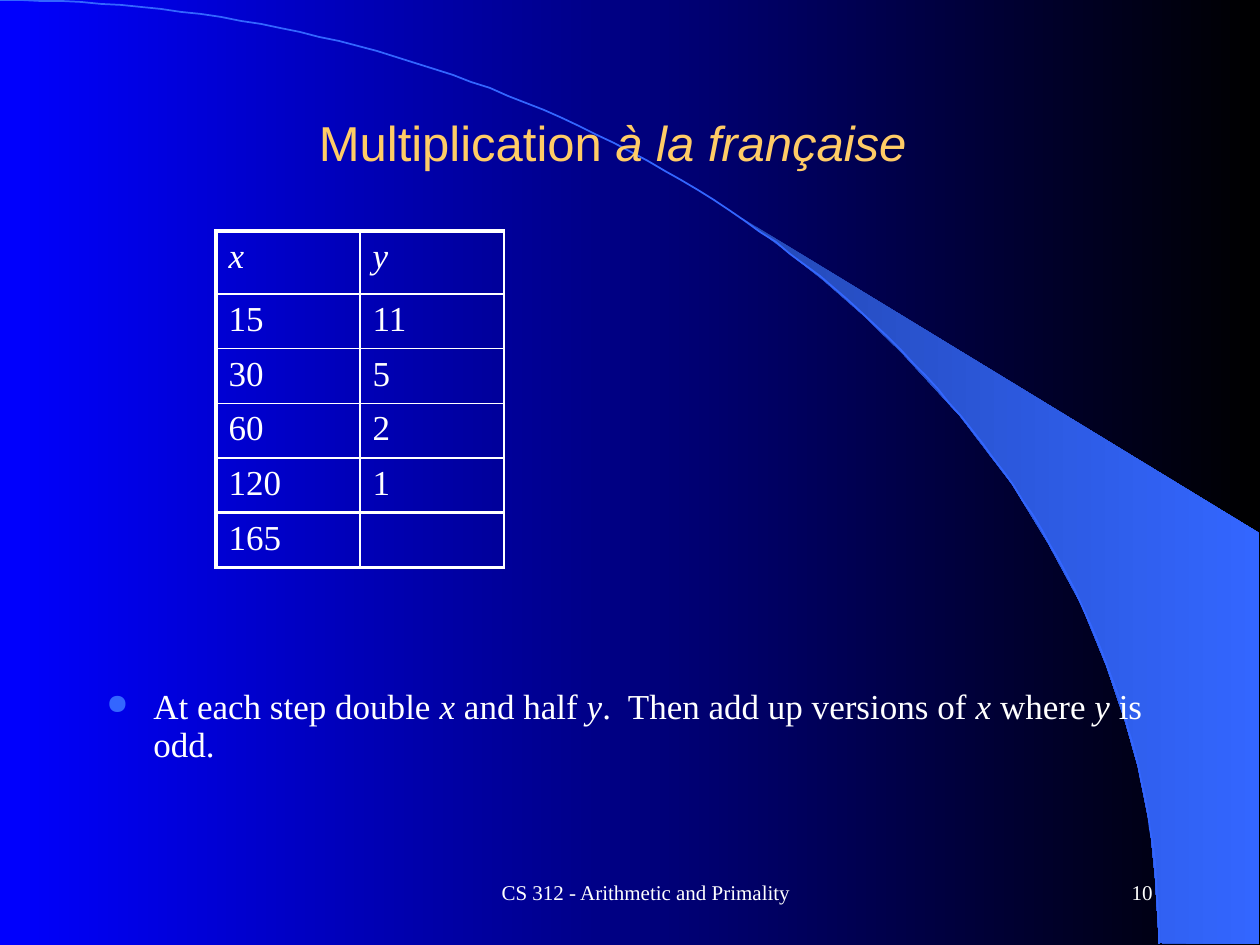
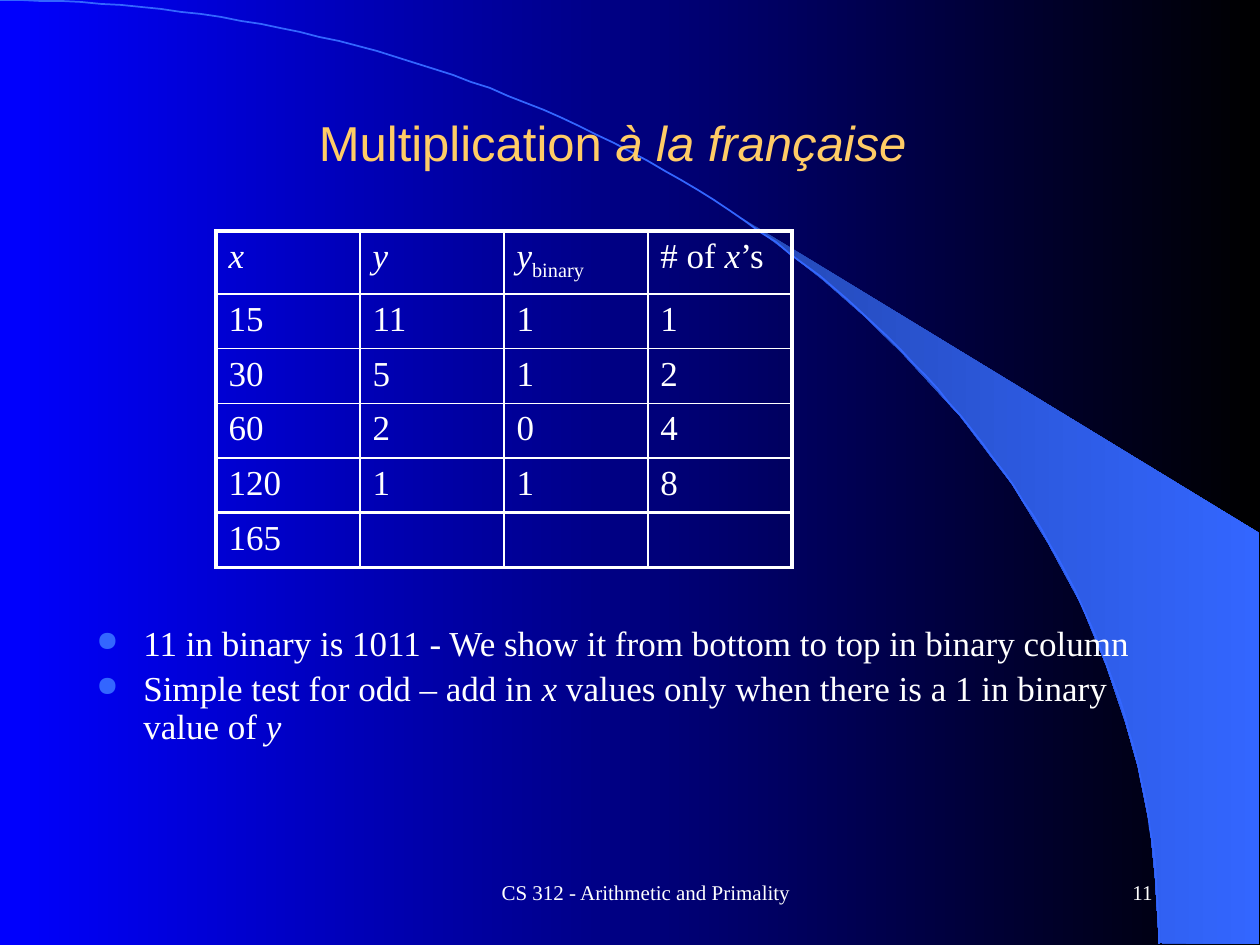
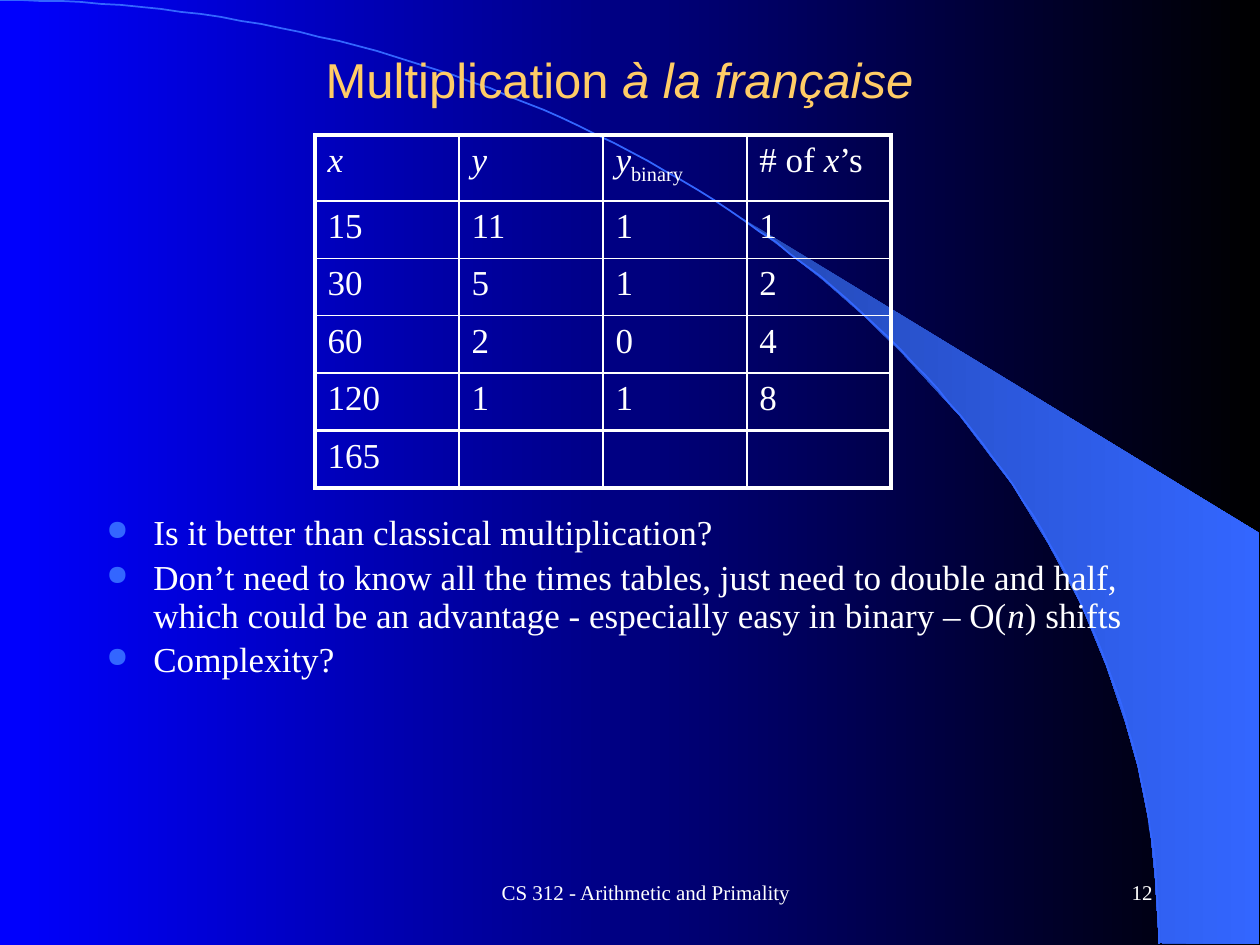
"""Build three slides on multiplication à la française."""
from math import cos, pi, sin

from lxml.etree import SubElement
from pptx import Presentation
from pptx.dml.color import RGBColor
from pptx.enum.text import MSO_ANCHOR, PP_ALIGN
from pptx.oxml.ns import qn
from pptx.util import Emu, Pt

COLORS = {
    "bg_left": "0000FF", "bg_right": "000000", "beam_left": "2449B6",
    "accent": "3366FF", "title": "FFCC66", "text": "FFFFFF",
}
SERIF, SANS = "Times New Roman", "Arial"
FOOTER = "CS 312 - Arithmetic and Primality"
HEADER = ["*x*", "*y*", "*y*_binary_", "# of *x*’s"]
ROWS = [
    ["15", "11", "1", "1"],
    ["30", "5", "1", "2"],
    ["60", "2", "0", "4"],
    ["120", "1", "1", "8"],
    ["165", "", "", ""],
]
SLIDES = [
    {
        "number": "10",
        "title": ("Multiplication *à la française *", 84),
        "table": {"at": (216, 231), "cols": 2, "header": 63, "height": 336, "right": 1},
        "body": (94, 683, 1071, 158),
        "bullets": [
            "At each step double *x* and half *y*.  Then add up versions of "
            "*x *where *y* is odd.",
        ],
    },
    {
        "number": "11",
        "title": ("Multiplication *à la française *", 84),
        "table": {"at": (216, 231), "cols": 4, "header": 63, "height": 336, "right": 2.25},
        "body": (84, 620, 1071, 158),
        "bullets": [
            "11 in binary is 1011 - We show it from bottom to top in binary column",
            "Simple test for odd – add in *x* values only when there is a 1 in "
            "binary value of *y*",
        ],
    },
    {
        "number": "12",
        "title": ("Multiplication *à la française*", 21),
        "table": {"at": (315, 135), "cols": 4, "header": 66, "height": 353, "right": 2.25},
        "body": (94, 509, 1113, 353),
        "bullets": [
            "Is it better than classical multiplication?",
            "Don’t need to know all the times tables, just need to double and half, "
            "which could be an advantage - especially easy in binary – O(*n*) shifts",
            "Complexity?",
        ],
    },
]
BEAM = [
    (1159, 943), (1259, 944), (1259, 533), (742, 218), (786, 251), (823, 280),
    (863, 315), (902, 353), (960, 416), (1012, 484), (1048, 543), (1081, 604),
    (1106, 665), (1125, 721), (1138, 767), (1150, 827), (1155, 877),
]
ARC_W, ARC_H, ARC_STEPS = 1159, 944, 90
COL_W, INDENT = 144, 47
THIN, THICK = 1, 2.25
SCALE = 914400 / 126


def px(n):
    return Emu(round(n * SCALE))


def rgb(name):
    return RGBColor.from_string(COLORS[name])


def set_gradient(fill, *names):
    fill.gradient()
    fill.gradient_angle = 0
    for stop, name in zip(fill.gradient_stops, names):
        stop.color.rgb = rgb(name)


def write(p, text, size=20, font=SERIF, color="text"):
    """Fill a paragraph; *stars* mark italics and _underscores_ a subscript."""
    for i, part in enumerate(text.split("*")):
        for j, piece in enumerate(part.split("_")):
            if not piece:
                continue
            r = p.add_run()
            r.text = piece
            r.font.size, r.font.name = Pt(size), font
            r.font.color.rgb = rgb(color)
            r.font.italic = i % 2 == 1
            if j % 2:
                r.font._element.set("baseline", "-25000")


def add_text_box(s, box, anchor=MSO_ANCHOR.MIDDLE):
    tf = s.shapes.add_textbox(*map(px, box)).text_frame
    tf.word_wrap = True
    tf.vertical_anchor = anchor
    return tf


def add_line_of_text(s, box, text, align, **style):
    p = add_text_box(s, box).paragraphs[0]
    p.alignment = align
    write(p, text, **style)


def add_outline(s, points, close):
    builder = s.shapes.build_freeform(*points[0], scale=SCALE)
    builder.add_line_segments(points[1:], close=close)
    sp = builder.convert_to_shape()
    sp.shadow.inherit = False
    return sp


def add_backdrop(s):
    set_gradient(s.background.fill, "bg_left", "bg_right")
    beam = add_outline(s, BEAM, True)
    set_gradient(beam.fill, "beam_left", "accent")
    beam.line.fill.background()
    angles = [pi / 2 * i / ARC_STEPS for i in range(ARC_STEPS + 1)]
    arc = add_outline(s, [(ARC_W * sin(a), ARC_H * (1 - cos(a))) for a in angles], False)
    arc.fill.background()
    arc.line.color.rgb = rgb("accent")
    arc.line.width = Pt(1)


def add_bullets(s, box, bullets):
    tf = add_text_box(s, box, MSO_ANCHOR.TOP)
    for i, text in enumerate(bullets):
        p = tf.add_paragraph() if i else tf.paragraphs[0]
        p.line_spacing, p.space_before = 0.9, Pt(4)
        write(p, text)
        pPr = p._p.get_or_add_pPr()
        pPr.set("marL", str(px(INDENT)))
        pPr.set("indent", str(-px(INDENT)))
        SubElement(SubElement(pPr, qn("a:buClr")), qn("a:srgbClr"), val=COLORS["accent"])
        SubElement(pPr, qn("a:buSzPct"), val="80000")
        SubElement(pPr, qn("a:buChar"), char="●")


def set_borders(cell, widths):
    tcPr = cell._tc.get_or_add_tcPr()
    for side, width in widths.items():
        ln = SubElement(tcPr, qn(f"a:ln{side}"), w=str(Pt(width)))
        SubElement(SubElement(ln, qn("a:solidFill")), qn("a:srgbClr"), val=COLORS["text"])


def add_steps_table(s, at, cols, header, height, right):
    rows = [row[:cols] for row in [HEADER] + ROWS]
    n = len(rows)
    size = px(COL_W * cols), px(height)
    table = s.shapes.add_table(n, cols, *map(px, at), *size).table
    table.first_row = table.horz_banding = False
    row_lines = [THICK] + [THIN] * (n - 2) + [THICK] * 2
    col_lines = [THICK] + [THIN] * (cols - 1) + [right]
    for col in table.columns:
        col.width = px(COL_W)
    for i, row in enumerate(rows):
        table.rows[i].height = px((height - header) / (n - 1) if i else header)
        for j, text in enumerate(row):
            cell = table.cell(i, j)
            set_borders(cell, {"L": col_lines[j], "R": col_lines[j + 1],
                               "T": row_lines[i], "B": row_lines[i + 1]})
            cell.fill.background()
            p = cell.text_frame.paragraphs[0]
            p.space_before = Pt(4)
            write(p, text)


def main():
    prs = Presentation()
    prs.slide_width, prs.slide_height = px(1260), px(945)
    for data in SLIDES:
        s = prs.slides.add_slide(prs.slide_layouts[6])
        add_backdrop(s)
        add_line_of_text(s, (399, 861, 494, 63), FOOTER, PP_ALIGN.CENTER, size=12)
        add_line_of_text(s, (903, 861, 262, 63), data["number"], PP_ALIGN.RIGHT, size=12)
        title, top = data["title"]
        add_line_of_text(s, (84, top, 1071, 116), title, PP_ALIGN.CENTER,
                         size=28, font=SANS, color="title")
        add_bullets(s, data["body"], data["bullets"])
        add_steps_table(s, **data["table"])
    prs.save("out.pptx")


if __name__ == "__main__":
    main()
